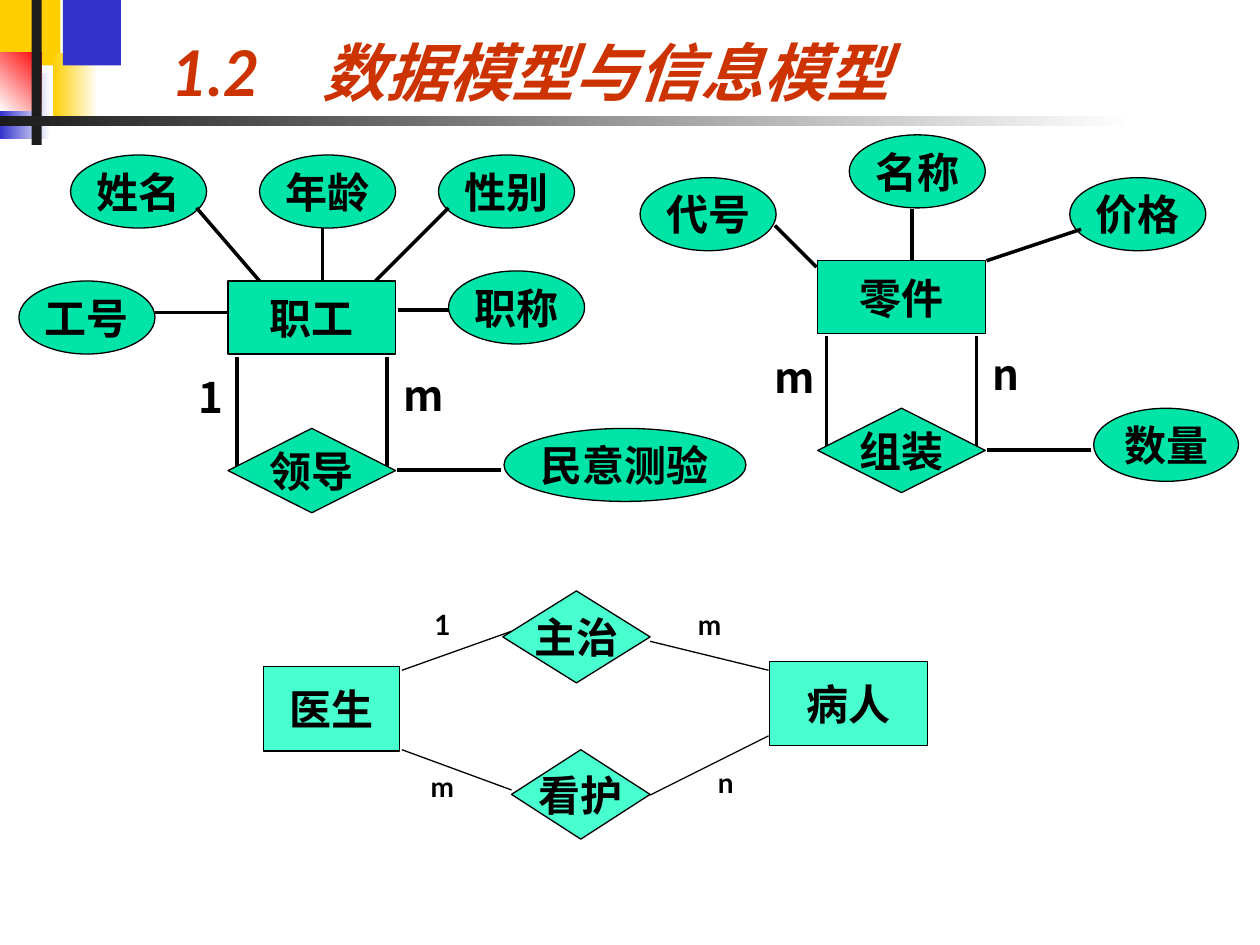
from lxml import etree
from pptx import Presentation
from pptx.dml.color import RGBColor
from pptx.enum.shapes import MSO_CONNECTOR, MSO_SHAPE
from pptx.enum.text import MSO_ANCHOR, PP_ALIGN
from pptx.oxml.ns import qn
from pptx.util import Inches, Pt

ENTITY = MSO_SHAPE.RECTANGLE
ATTRIBUTE = MSO_SHAPE.OVAL
RELATION = MSO_SHAPE.FLOWCHART_DECISION
STRAIGHT = MSO_CONNECTOR.STRAIGHT
CENTER, LEFT = PP_ALIGN.CENTER, PP_ALIGN.LEFT
MIDDLE, BOTTOM = MSO_ANCHOR.MIDDLE, MSO_ANCHOR.BOTTOM

COLUMNS, ROWS = 100, 75  # grid units on the slide
CJK, LATIN = "Noto Sans CJK SC", "Lato"
COLORS = {
    "yellow": "FFCF01", "blue": "3333CC", "red": "FF0000", "white": "FFFFFF",
    "bar": "1C1C1C", "title": "CC3300", "ink": "000000",
    "green": "00E4A8", "mint": "47FFCF",
}


def color(name):
    return RGBColor.from_string(COLORS[name])


class Diagram:
    """Draws on one slide; lengths are grid columns and rows."""

    def __init__(self, presentation):
        self.slide = presentation.slides.add_slide(presentation.slide_layouts[5])
        self.column = presentation.slide_width / COLUMNS
        self.row = presentation.slide_height / ROWS

    def place(self, left, top, width, height):
        return (round(left * self.column), round(top * self.row),
                round(width * self.column), round(height * self.row))

    def set_text(self, shape, text, size, ink="ink", font=CJK, italic=False):
        paragraph = shape.text_frame.paragraphs[0]
        paragraph.text = text
        style = paragraph.font
        style.size, style.bold, style.italic = Pt(size), True, italic
        style.color.rgb = color(ink)
        style.name = font
        properties = paragraph._p.pPr.find(qn("a:defRPr"))
        etree.SubElement(properties, qn("a:ea")).set("typeface", CJK)
        return paragraph

    def title(self, text, box):
        shape = self.slide.shapes.title
        shape.left, shape.top, shape.width, shape.height = self.place(*box)
        shape.text_frame.vertical_anchor = BOTTOM
        paragraph = self.set_text(shape, text, 36, "title", LATIN, italic=True)
        paragraph.alignment = LEFT

    def block(self, box, start, end=None, angle=0):
        """A borderless block, plain or fading from start to end."""
        shape = self.slide.shapes.add_shape(ENTITY, *self.place(*box))
        shape.shadow.inherit = False
        shape.line.fill.background()
        if end is None:
            shape.fill.solid()
            shape.fill.fore_color.rgb = color(start)
            return
        shape.fill.gradient()
        shape.fill.gradient_angle = angle
        for stop, name, position in zip(shape.fill.gradient_stops, (start, end), (0, 1)):
            stop.color.rgb = color(name)
            stop.position = position

    def node(self, kind, text, box, fill, font=CJK):
        shape = self.slide.shapes.add_shape(kind, *self.place(*box))
        shape.shadow.inherit = False
        shape.fill.solid()
        shape.fill.fore_color.rgb = color(fill)
        shape.line.color.rgb = color("ink")
        shape.line.width = Pt(0.75)
        shape.text_frame.word_wrap = False
        shape.text_frame.vertical_anchor = MIDDLE
        self.set_text(shape, text, 24, font=font).alignment = CENTER

    def link(self, x1, y1, x2, y2, weight):
        line = self.slide.shapes.add_connector(STRAIGHT, *self.place(x1, y1, x2, y2))
        line.line.color.rgb = color("ink")
        line.line.width = Pt(weight)
        etree.SubElement(line._element.spPr, qn("a:effectLst"))

    def label(self, text, box, size, space, font):
        shape = self.slide.shapes.add_textbox(*self.place(*box))
        shape.text_frame.word_wrap = True
        self.set_text(shape, text, size, font=font).space_before = Pt(space)

    def recursive_relation(self, entity, relation, left, top, labels, font=CJK):
        """An entity tied twice to the relation below it."""
        self.node(ENTITY, entity, (left, top, 13.3, 5.8), "green", font)
        self.node(RELATION, relation, (left, top + 11.7, 13.3, 6.7), "green")
        for x in (left + 0.7, left + 12.6):
            self.link(x, top + 6, x, top + 14.7, 2)
        self.link(left + 13.4, top + 15, left + 21.7, top + 15, 2)
        for text, x, y, width in labels:
            self.label(text, (x, y, width, 5), 24, 15, CJK)


def main():
    presentation = Presentation()
    presentation.slide_width, presentation.slide_height = Inches(10), Inches(7.5)
    diagram = Diagram(presentation)

    # Corner decoration and title
    for block in (
        ((0, 0, 4.8, 5.2), "yellow"),
        ((4.2, 4.2, 3.6, 5.2), "yellow", "white"),
        ((5, 0, 4.6, 5.2), "blue"),
        ((0, 5.8, 4, 5.2), "blue", "white"),
        ((0, 4.2, 3.3, 4.6), "white", "red", 45),
        ((2.5, 0, 0.8, 11.5), "bar"),
        ((0, 9.2, 90, 0.8), "bar", "white"),
    ):
        diagram.block(*block)
    diagram.title("1.2　数据模型与信息模型", (12.6, 0, 68.2, 9.2))

    # Employee and part entities with their relations
    diagram.recursive_relation("职工", "领导", 18.1, 22.3,
                               (("1", 14.8, 29, 4.2), ("m", 31, 28.8, 5.8)))
    diagram.recursive_relation("零件", "组装", 64.9, 20.7,
                               (("m", 60.5, 27.4, 4.2), ("n", 77.8, 27.2, 5.8)), LATIN)

    # Attributes: name, left, top, width
    for text, left, top, width in (
        ("工号", 1.5, 22.3, 10.8), ("姓名", 5.6, 12.3, 10.8),
        ("年龄", 20.6, 12.3, 10.8), ("性别", 34.8, 12.3, 10.8),
        ("职称", 35.6, 21.5, 10.8), ("民意测验", 40, 34, 19.2),
        ("代号", 50.8, 14.1, 10.8), ("名称", 67.4, 10.7, 10.8),
        ("价格", 84.9, 14.1, 10.8), ("数量", 86.8, 32.4, 11.5),
    ):
        diagram.node(ATTRIBUTE, text, (left, top, width, 5.8), "green")

    # Attribute links
    for ends in (
        (12.3, 24.8, 18.1, 24.8), (15.6, 16.5, 20.6, 22.3),
        (25.6, 18.1, 25.6, 22.3), (35.6, 16.5, 29.8, 22.3),
        (31.6, 24.6, 35.6, 24.6), (61.5, 17.9, 64.8, 21.2),
        (72.4, 16.6, 72.4, 20.7), (78.3, 20.7, 85.8, 18.2),
    ):
        diagram.link(*ends, 2)

    # Doctor and patient diagram
    for kind, text, box in (
        (ENTITY, "医生", (20.9, 52.9, 10.8, 6.7)),
        (ENTITY, "病人", (61.1, 52.5, 12.5, 6.7)),
        (RELATION, "看护", (40.6, 59.5, 11, 7.1)),
        (RELATION, "主治", (39.9, 46.9, 11.7, 7.3)),
    ):
        diagram.node(kind, text, box, "mint")
    for ends in (
        (31.9, 53.2, 40.6, 50.1), (51.6, 50.9, 61, 53.2),
        (31.9, 59.5, 40.6, 62.7), (51.6, 63.1, 61, 58.4),
    ):
        diagram.link(*ends, 0.75)
    for text, left, top in (("1", 33.5, 47.7), ("m", 54.4, 47.7),
                            ("m", 33.2, 60.6), ("n", 56, 60.3)):
        diagram.label(text, (left, top, 5, 3.7), 16, 10, LATIN)

    presentation.save("out.pptx")


if __name__ == "__main__":
    main()
